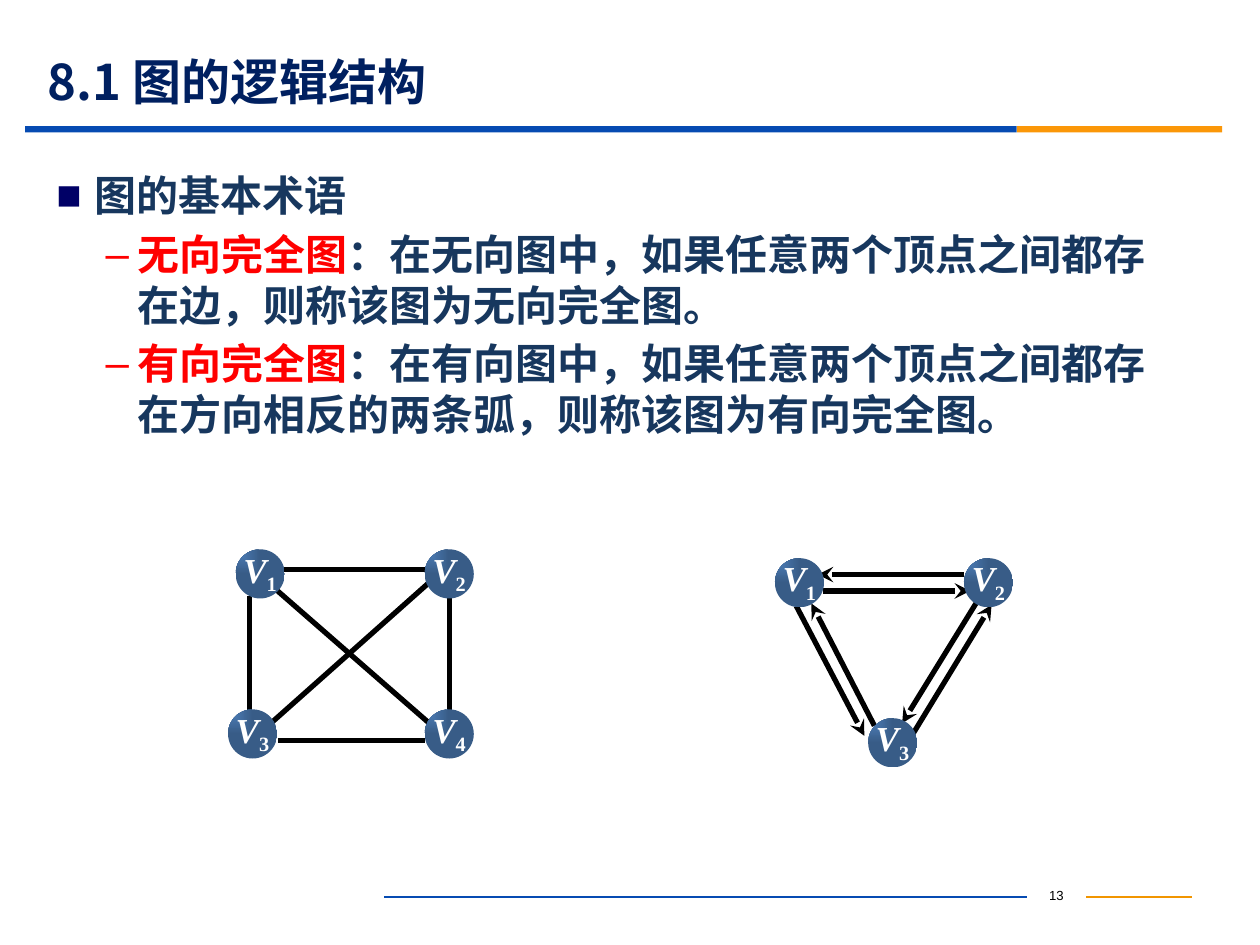
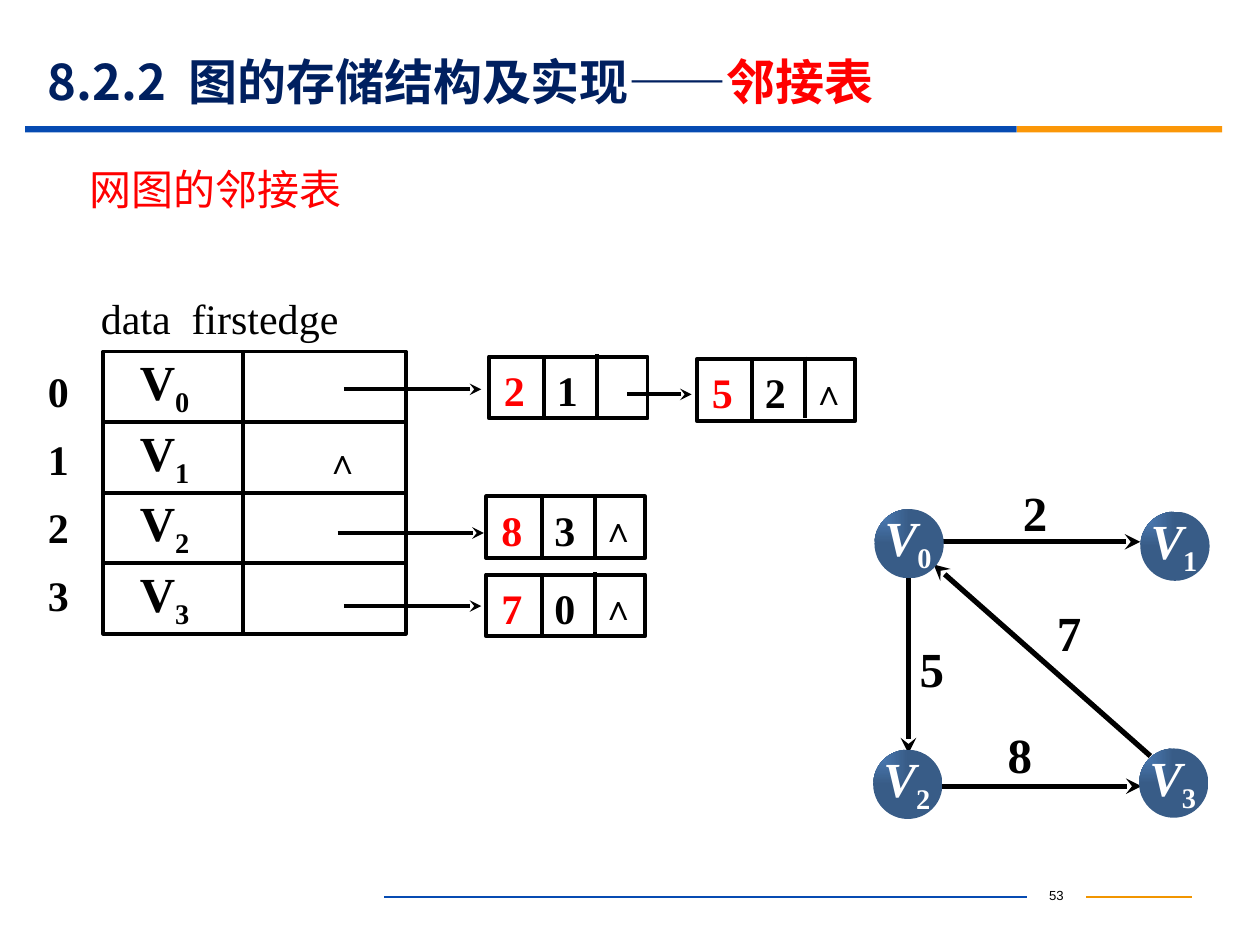
from lxml.etree import SubElement
from pptx import Presentation
from pptx.dml.color import RGBColor as Rgb
from pptx.enum.shapes import MSO_CONNECTOR as Link, MSO_SHAPE as Preset
from pptx.enum.text import MSO_ANCHOR as Anchor, MSO_AUTO_SIZE as AutoSize, PP_ALIGN as Align
from pptx.oxml.ns import qn
from pptx.util import Inches, Pt

COLORS = {
    "blue": "064BB2", "orange": "FB9708", "footer_orange": "F19500",
    "title": "002060", "body": "17375E", "bullet": "000066",
    "red": "FF0000", "black": "000000", "white": "FFFFFF", "ball": "4F81BD",
}
SANS, SERIF = "Noto Sans CJK SC", "Times New Roman"
TITLE = dict(name=SANS, size=28, bold=True, color="title")
BODY = dict(name=SANS, size=24, bold=True, color="body")
DIGIT = dict(name=SERIF, size=24, bold=True, color="black")
WEIGHT = DIGIT | dict(size=28)
CARET = DIGIT | dict(size=20)
VERTEX = dict(name=SERIF, bold=True, color="white")


def rgb(name):
    return Rgb.from_string(COLORS[name])


# ---- text ----
def add_span(para, text, name, size, color, baseline=None, **style):
    span = para.add_run()
    span.text = text
    for key, value in dict(name=name, size=Pt(size), **style).items():
        setattr(span.font, key, value)
    span.font.color.rgb = rgb(color)
    properties = span.font._element
    SubElement(properties, qn("a:ea"), typeface=name)
    if baseline:
        properties.set("baseline", str(baseline * 1000))


def set_frame(frame, insets, anchor=Anchor.TOP, wrap=True):
    frame.word_wrap, frame.auto_size, frame.vertical_anchor = wrap, AutoSize.NONE, anchor
    for side, inset in zip(("left", "top", "right", "bottom"), insets):
        setattr(frame, f"margin_{side}", Inches(inset))


def write(para, spans, align=Align.LEFT, tab=None):
    para.alignment = align
    for text, style in spans:
        add_span(para, text, **style)
    if tab:
        stops = SubElement(para._p.get_or_add_pPr(), qn("a:tabLst"))
        SubElement(stops, qn("a:tab"), pos=str(Inches(tab)), algn="l")


def add_text(page, box, spans, insets=(0, 0, 0, 0), align=Align.LEFT, wrap=True, tab=None):
    frame = page.shapes.add_textbox(*map(Inches, box)).text_frame
    set_frame(frame, insets, wrap=wrap)
    write(frame.paragraphs[0], spans, align, tab)
    return frame


# ---- shapes and lines ----
def add_line(page, start, end, width=3.0, color="black", arrow=False):
    line = page.shapes.add_connector(Link.STRAIGHT, *map(Inches, (*start, *end)))
    line.line.width, line.line.color.rgb = Pt(width), rgb(color)
    if arrow:
        SubElement(line.line._get_or_add_ln(), qn("a:tailEnd"), type="stealth")
    SubElement(line._element.spPr, qn("a:effectLst"))


def add_preset(page, preset, box, fill=None, border=None):
    shape = page.shapes.add_shape(preset, *map(Inches, box))
    shape.shadow.inherit = False
    if fill:
        shape.fill.solid()
        shape.fill.fore_color.rgb = rgb(fill)
    else:
        shape.fill.background()
    if border:
        shape.line.color.rgb, shape.line.width = rgb("black"), Pt(border)
    else:
        shape.line.fill.background()
    return shape


def add_vertex(page, left, top, index, diameter, size):
    """Shaded ball lit from its top left corner, with the label V and an index."""
    ball = add_preset(page, Preset.OVAL, (left, top, diameter, diameter))
    ball.fill.gradient()
    gradient = ball.fill._xPr.find(qn("a:gradFill"))
    for child in list(gradient):
        gradient.remove(child)
    stops = SubElement(gradient, qn("a:gsLst"))
    for position, shade in ((0, None), (100000, 46275)):
        stop = SubElement(stops, qn("a:gs"), pos=str(position))
        tone = SubElement(stop, qn("a:srgbClr"), val=COLORS["ball"])
        if shade:
            SubElement(tone, qn("a:shade"), val=str(shade))
    focus = SubElement(gradient, qn("a:path"), path="rect")
    SubElement(focus, qn("a:fillToRect"), r="100000", b="100000")
    label = VERTEX | dict(size=size)
    add_text(page, (left + 0.13 * diameter, top - 0.04, 0.93 * diameter, 1.17 * diameter),
             [("V", label | dict(italic=True)), (str(index), label | dict(baseline=-25))],
             (0.01, 0.03, 0, 0.01))


# ---- parts every slide shares ----
def add_page(deck, number, title_spans):
    page = deck.slides.add_slide(deck.slide_layouts[5])
    # Footer
    add_text(page, (8.15, 6.99, 0.47, 0.25),
             [(str(number), dict(name="Arial", size=7.5, color="black"))],
             (0.1, 0.05, 0.1, 0.05), Align.CENTER)
    add_line(page, (8.62, 7.12), (9.46, 7.12), 0.75, "footer_orange")
    add_line(page, (3.05, 7.12), (8.15, 7.12), 0.75, "blue")
    # Title and its two-colour rule
    add_preset(page, Preset.RECTANGLE, (0.2, 1, 7.87, 0.05), "blue")
    add_preset(page, Preset.RECTANGLE, (8.07, 1, 1.63, 0.05), "orange")
    title = page.shapes.title
    for key, value in dict(left=0.28, top=0.43, width=9, height=0.43).items():
        setattr(title, key, Inches(value))
    set_frame(title.text_frame, (0.1, 0.05, 0.1, 0.05), Anchor.MIDDLE)
    write(title.text_frame.paragraphs[0], title_spans)
    return page


# ---- slide on complete graphs ----
def add_terms(page, box, heading, terms):
    frame = add_text(page, box, [(heading, BODY)], (0.1, 0.05, 0.1, 0.05))
    for term, meaning in terms:
        write(frame.add_paragraph(), [(term, BODY | dict(color="red")), (meaning, BODY)])
    for order, para in enumerate(frame.paragraphs):
        margin, hanging, mark, color = (0.64, 0.25, "–", "red") if order else (0.3, 0.3, "■", "bullet")
        para.space_before = Pt(4.8)
        properties = para._p.get_or_add_pPr()
        properties.set("marL", str(Inches(margin)))
        properties.set("indent", str(-Inches(hanging)))
        tint = SubElement(properties, qn("a:buClr"))
        SubElement(tint, qn("a:srgbClr"), val=COLORS[color])
        SubElement(properties, qn("a:buFont"), typeface="Arial")
        SubElement(properties, qn("a:buChar"), char=mark)


def add_graph(page, left, top, edges, vertices, diameter, size, arrow):
    """Edges and vertices are placed from the corner of the graph."""
    for x1, y1, x2, y2 in edges:
        add_line(page, (left + x1, top + y1), (left + x2, top + y2), arrow=arrow)
    for index, x, y in vertices:
        add_vertex(page, left + x, top + y, index, diameter, size)


def complete_graph_slide(deck):
    page = add_page(deck, 13, [("8.1 图的逻辑结构", TITLE)])
    add_terms(page, (0.35, 1.3, 9, 1.1), "图的基本术语", [
        ("无向完全图", "：在无向图中，如果任意两个顶点之间都存在边，则称该图为无向完全图。"),
        ("有向完全图", "：在有向图中，如果任意两个顶点之间都存在方向相反的两条弧，则称该图为有向完全图。"),
    ])
    # Directed: one arc each way between every pair
    arcs = [(1.08, 1.42, 1.72, 0.37), (1.62, 0.32, 1.01, 1.31), (0.17, 0.38, 0.71, 1.41),
            (0.79, 1.33, 0.29, 0.36), (0.38, 0.26, 1.55, 0.26), (1.5, 0.13, 0.34, 0.13)]
    add_graph(page, 6.15, 4.43, arcs, [(1, 0, 0), (2, 1.5, 0), (3, 0.74, 1.27)], 0.39, 20, True)
    # Undirected: four sides and two diagonals
    sides = [(1.6, 0.26, 0.34, 1.38), (0.42, 0.16, 1.58, 0.16), (1.76, 0.36, 1.76, 1.31),
             (0.37, 0.31, 1.62, 1.4), (0.17, 0.37, 0.17, 1.29), (0.4, 1.52, 1.56, 1.52)]
    corners = [(1, 0.06, 0), (2, 1.56, 0), (3, 0, 1.27), (4, 1.56, 1.27)]
    add_graph(page, 1.81, 4.36, sides, corners, 0.39, 20, False)


# ---- slide on adjacency lists ----
def add_vertex_table(page, left, top, row=0.56, data_width=1.11, edge_width=1.29):
    add_text(page, (left - 0.02, top - 0.47, 2.68, 0.48),
             [("data\tfirstedge", DIGIT | dict(bold=False))], tab=0.72)
    for index in range(4):
        y = top + index * row
        data = add_preset(page, Preset.RECTANGLE, (left, y, data_width, row), border=2.25)
        set_frame(data.text_frame, (0.29, 0, 0.1, 0.05))
        write(data.text_frame.paragraphs[0],
              [("V", WEIGHT), (str(index), WEIGHT | dict(baseline=-25))])
        add_preset(page, Preset.RECTANGLE, (left + data_width, y, edge_width, row), border=2.25)
    # Row numbers
    frame = add_text(page, (left - 0.44, top - 0.03, 0.32, 2.22), [("0", DIGIT)])
    for index in range(1, 4):
        write(frame.add_paragraph(), [(str(index), DIGIT)])
    for para in frame.paragraphs:
        para.line_spacing = 1.35
    # Vertex 1 has no edges
    add_text(page, (left + 1.6, top + 0.64, 0.63, 0.39), [("∧", CARET)], (0.16, 0.06, 0.1, 0.01))


def add_edge_node(page, left, top, weight, target, last=True, width=1.26, height=0.49):
    node = add_preset(page, Preset.RECTANGLE, (left, top, width, height), border=2.25)
    set_frame(node.text_frame, (0.12, 0.06, 0.1, 0.01))
    write(node.text_frame.paragraphs[0],
          [(weight, DIGIT | dict(color="red")), ("\t" + target, DIGIT)], tab=0.42)
    for x, lift in ((0.44, 0), (0.86, 0.02)):
        add_line(page, (left + x, top - lift), (left + x, top + height - lift), 2.25)
    if last:
        add_text(page, (left + 0.91, top + 0.09, 0.36, 0.42), [("∧", CARET)])


def adjacency_list_slide(deck):
    page = add_page(deck, 53, [("8.2.2  图的存储结构及实现——", TITLE),
                               ("邻接表", TITLE | dict(color="red"))])
    add_text(page, (0.61, 1.25, 2.22, 0.5), [("网图的邻接表", BODY | dict(bold=False, color="red"))],
             (0.1, 0.05, 0.1, 0.05), wrap=False)
    # Weighted directed graph
    arcs = [(0.55, 0.26, 2.12, 0.26), (0.28, 0.55, 0.28, 1.94),
            (0.52, 2.2, 2.13, 2.2), (2.2, 1.96, 0.48, 0.44)]
    vertices = [(0, 0.01, 0), (1, 2.12, 0.02), (2, 0, 1.91), (3, 2.11, 1.9)]
    add_graph(page, 6.93, 4.04, arcs, vertices, 0.55, 28, True)
    for weight, x, y in (("2", 7.9, 3.78), ("7", 8.17, 4.73), ("8", 7.78, 5.7), ("5", 7.08, 5.02)):
        add_text(page, (x, y, 0.63, 0.57), [(weight, WEIGHT)], (0.1, 0.05, 0.1, 0.05), Align.CENTER)
    # Vertex table, edge nodes and the pointers between them
    add_vertex_table(page, 0.82, 2.79)
    add_edge_node(page, 3.88, 2.83, "2", "1", last=False)
    for left, top, weight, target in ((5.53, 2.85, "5", "2"), (3.86, 3.94, "8", "3"), (3.86, 4.56, "7", "0")):
        add_edge_node(page, left, top, weight, target)
    for x1, x2, y in ((2.73, 3.82, 3.09), (2.68, 3.84, 4.23), (2.73, 3.82, 4.81), (4.98, 5.49, 3.13)):
        add_line(page, (x1, y), (x2, y), 2.25, arrow=True)


def main():
    deck = Presentation()
    deck.slide_width, deck.slide_height = Inches(10), Inches(7.5)
    complete_graph_slide(deck)
    adjacency_list_slide(deck)
    deck.save("out.pptx")


if __name__ == "__main__":
    main()
